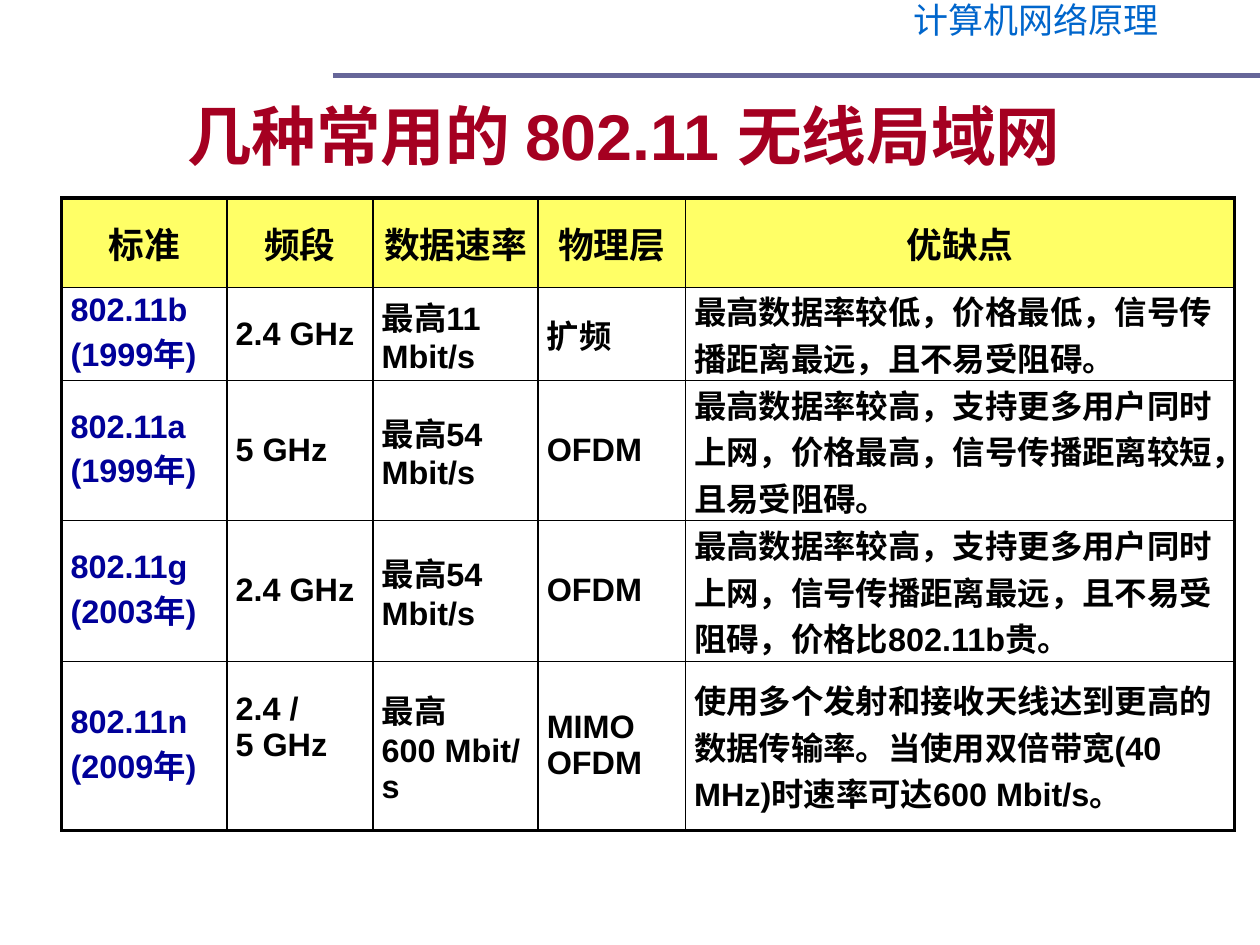
import pptx
import pptx.util
import pptx.dml.color
import pptx.enum.shapes
import pptx.enum.text
import pptx.oxml.ns
from lxml import etree

Inches, Pt = pptx.util.Inches, pptx.util.Pt
RGBColor = pptx.dml.color.RGBColor
ALIGN, ANCHOR = pptx.enum.text.PP_ALIGN, pptx.enum.text.MSO_ANCHOR
qn = pptx.oxml.ns.qn

BLACK = RGBColor(0x00, 0x00, 0x00)
WHITE = RGBColor(0xFF, 0xFF, 0xFF)
YELLOW = RGBColor(0xFF, 0xFF, 0x66)
NAVY = RGBColor(0x00, 0x00, 0x99)
BLUE = RGBColor(0x00, 0x66, 0xCC)
CRIMSON = RGBColor(0xA5, 0x00, 0x21)
SLATE = RGBColor(0x66, 0x66, 0x99)
LATIN, CHINESE = "Arial", "Noto Sans CJK SC"
HARD_SPACE = chr(160)  # keeps a number and its unit together

# Content: each cell is a list of paragraphs
COURSE = "计算机网络原理"
TITLE = "几种常用的 802.11 无线局域网 "
HEADINGS = [["标准"], ["频段"], ["数据速率"], ["物理层"], ["优缺点"]]
STANDARDS = [
    [["802.11b", "(1999年)"], ["2.4 GHz"], ["最高11 Mbit/s"], ["扩频"],
     ["最高数据率较低，价格最低，信号传播距离最远，且不易受阻碍。"]],
    [["802.11a", "(1999年)"], ["5 GHz"], ["最高54 Mbit/s"], ["OFDM"],
     ["最高数据率较高，支持更多用户同时上网，价格最高，信号传播距离较短，且易受阻碍。"]],
    [["802.11g", "(2003年)"], ["2.4 GHz"], ["最高54 Mbit/s"], ["OFDM"],
     ["最高数据率较高，支持更多用户同时上网，信号传播距离最远，且不易受阻碍，价格比802.11b贵。"]],
    [["802.11n", "(2009年)"], [f"2.4 / 5{HARD_SPACE}GHz"], [f"最高600{HARD_SPACE}Mbit/s"],
     ["MIMO", "OFDM"],
     ["使用多个发射和接收天线达到更高的数据传输率。当使用双倍带宽(40 MHz)时速率可达600 Mbit/s。"]],
]
ROWS = [HEADINGS] + STANDARDS
COLUMN_WIDTHS = [1.31, 1.16, 1.31, 1.17, 4.36]
ROW_HEIGHTS = [0.71, 0.74, 1.11, 1.12, 1.34]
THIN, THICK = 1, 2.25

HEADER_FONT = {"name": CHINESE, "size": Pt(20), "bold": False}
TITLE_FONT = {"name": LATIN, "size": Pt(36.9), "bold": True}
HEADING_FONT = {"name": LATIN, "size": Pt(20.4), "bold": True}
BODY_FONT = {"name": LATIN, "size": Pt(18.5), "bold": True}


def write(frame, lines, font, color, align):
    for number, line in enumerate(lines):
        para = frame.add_paragraph() if number else frame.paragraphs[0]
        para.alignment = align
        span = para.add_run()
        span.text = line
        for key, value in font.items():
            setattr(span.font, key, value)
        span.font.color.rgb = color
        etree.SubElement(span.font._element, qn("a:ea"), typeface=CHINESE)


def add_text(page, place, line, font, color, anchor, wrap):
    box = page.shapes.add_textbox(*map(Inches, place))
    box.text_frame.word_wrap = wrap
    box.text_frame.vertical_anchor = anchor
    write(box.text_frame, [line], font, color, ALIGN.CENTER)
    return box


def set_borders(cell, widths):
    properties = cell._tc.get_or_add_tcPr()
    for side, width in widths.items():
        line = etree.SubElement(properties, qn("a:ln" + side), w=str(Pt(width)))
        fill = etree.SubElement(line, qn("a:solidFill"))
        etree.SubElement(fill, qn("a:srgbClr"), val=str(BLACK))


deck = pptx.Presentation()
deck.slide_width, deck.slide_height = Inches(10), Inches(7.5)
page = deck.slides.add_slide(deck.slide_layouts[6])

# Course name and rule at the top
course = add_text(page, (6.73, 0, 2.99, 0.44), COURSE, HEADER_FONT, BLUE, ANCHOR.TOP, False)
course.text_frame.paragraphs[0].line_spacing = 0.8
rule = page.shapes.add_connector(
    pptx.enum.shapes.MSO_CONNECTOR.STRAIGHT, Inches(2.64), Inches(0.6), Inches(10), Inches(0.6))
rule.line.color.rgb = SLATE
rule.line.width = Pt(3)
etree.SubElement(rule._element.spPr, qn("a:effectLst"))

# Title
add_text(page, (0.51, 0.44, 9, 1.25), TITLE, TITLE_FONT, CRIMSON, ANCHOR.MIDDLE, True)

# Table of standards
last_row, last_column = len(ROWS) - 1, len(COLUMN_WIDTHS) - 1
table = page.shapes.add_table(
    len(ROWS), len(COLUMN_WIDTHS), Inches(0.49), Inches(1.57),
    Inches(sum(COLUMN_WIDTHS)), Inches(sum(ROW_HEIGHTS))).table
table.horz_banding = False
for column, width in zip(table.columns, COLUMN_WIDTHS):
    column.width = Inches(width)
for row, height in zip(table.rows, ROW_HEIGHTS):
    row.height = Inches(height)

for r, row in enumerate(ROWS):
    for c, lines in enumerate(row):
        cell = table.cell(r, c)
        cell.vertical_anchor = ANCHOR.MIDDLE
        cell.margin_left = cell.margin_right = Inches(0.07)
        cell.margin_top = cell.margin_bottom = 0
        set_borders(cell, {
            "L": THICK if c == 0 else THIN,
            "R": THICK if c == last_column else THIN,
            "T": THICK if r == 0 else THIN,
            "B": THICK if r == last_row else THIN,
        })
        cell.fill.solid()
        cell.fill.fore_color.rgb = WHITE if r else YELLOW
        if r == 0:
            write(cell.text_frame, lines, HEADING_FONT, BLACK, ALIGN.CENTER)
        else:
            write(cell.text_frame, lines, BODY_FONT, BLACK if c else NAVY, ALIGN.LEFT)

# The last frequency band sits a little above the middle of its row
table.cell(last_row, 1).margin_bottom = Inches(0.29)

deck.save("out.pptx")
